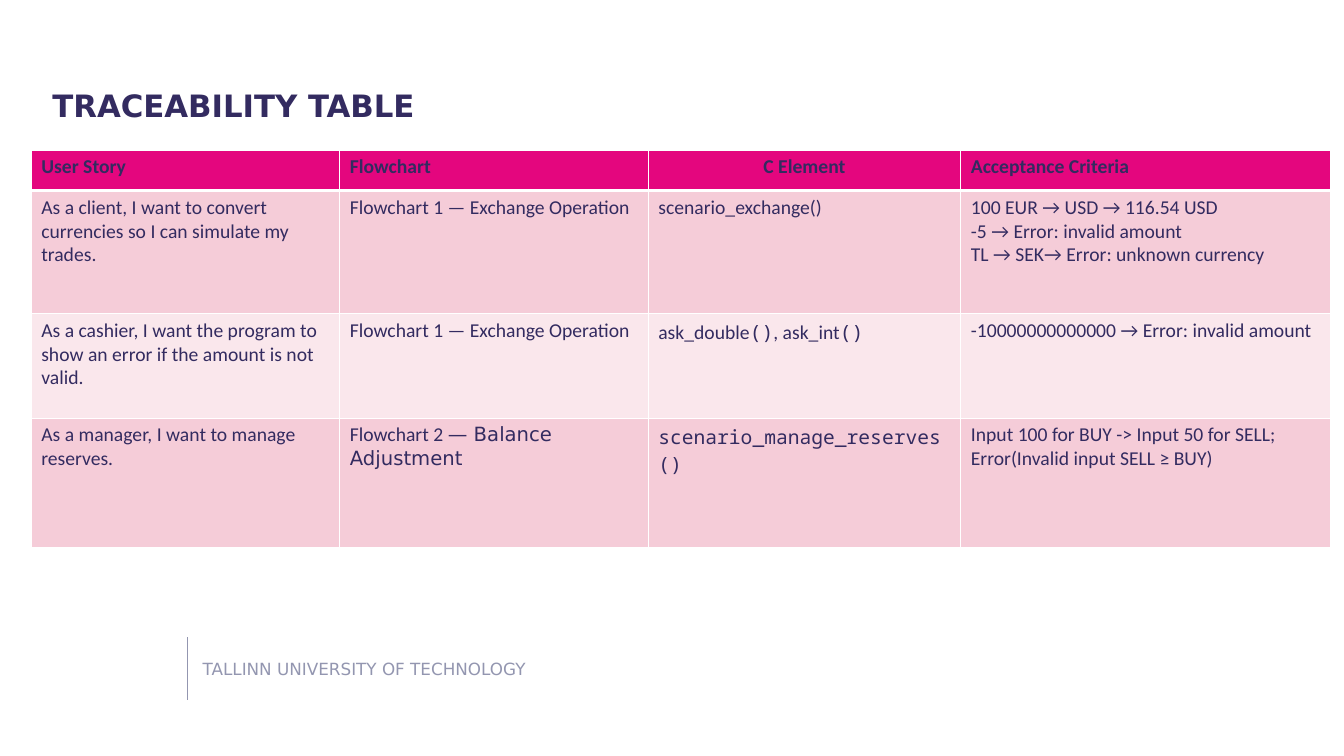
"""Build the traceability table slide."""
from lxml import etree
from pptx import Presentation
from pptx.dml.color import RGBColor
from pptx.enum.shapes import MSO_CONNECTOR
from pptx.enum.text import MSO_ANCHOR, PP_ALIGN
from pptx.oxml.ns import qn
from pptx.util import Inches, Pt

STRAIGHT = MSO_CONNECTOR.STRAIGHT
TOP, MIDDLE = MSO_ANCHOR.TOP, MSO_ANCHOR.MIDDLE
LEFT, CENTER = PP_ALIGN.LEFT, PP_ALIGN.CENTER

SANS, BODY, MONO = "DejaVu Sans", "Calibri", "Noto Sans Mono"
NAVY, GREY, WHITE = "332B60", "9396B0", "FFFFFF"
PINK, BANDS = "E4067E", ("F5CCD8", "FAE7EC")

COLS = (3.06, 3.06, 3.1, 3.67)
ROWS = (0.4, 1.22, 1.04, 1.28)
CELLS = (
    ("User Story", "Flowchart", "C Element", "Acceptance Criteria"),
    ("As a client, I want to convert currencies so I can simulate my trades.",
     "Flowchart 1 — Exchange Operation",
     "scenario_exchange()",
     "100 EUR → USD → 116.54 USD\n-5 → Error: invalid amount\n"
     "TL → SEK→ Error: unknown currency"),
    ("As a cashier, I want the program to show an error if the amount is not valid.",
     "Flowchart 1 — Exchange Operation",
     (("ask_double", BODY), ("()", MONO), (", ask_int", BODY), ("()", MONO)),
     "-10000000000000 → Error: invalid amount"),
    ("As a manager, I want to manage reserves.",
     (("Flowchart 2 ", BODY), ("— Balance Adjustment", SANS)),
     (("scenario_manage_reserves()", MONO),),
     "Input 100 for BUY -> Input 50 for SELL; Error(Invalid input SELL ≥ BUY)"),
)


def rgb(color):
    """Turn a hex string into a colour."""
    return RGBColor.from_string(color)


def write(tf, text, font=BODY, size=14, color=NAVY, bold=False, align=LEFT):
    """Fill a text frame with a string or with (text, font) runs."""
    p = tf.paragraphs[0]
    p.alignment = align
    runs = ((text, font),) if isinstance(text, str) else text
    for content, name in runs:
        for i, line in enumerate(content.split("\n")):
            if i:
                p.add_line_break()
            r = p.add_run()
            r.text = line
            r.font.name = name
            r.font.size = Pt(size)
            r.font.bold = bold
            r.font.color.rgb = rgb(color)


class Deck:
    """Hold the presentation, its style and the current slide."""

    def __init__(self, width, height):
        """Start a presentation with one blank slide."""
        self.prs = Presentation()
        self.prs.slide_width = Inches(width)
        self.prs.slide_height = Inches(height)
        self.s = self.prs.slides.add_slide(self.prs.slide_layouts[6])
        self.s.background.fill.solid()
        self.s.background.fill.fore_color.rgb = rgb(WHITE)

    def text(self, x, y, w, h, text, anchor=TOP, **fmt):
        """Add a text box without margins."""
        sp = self.s.shapes.add_textbox(Inches(x), Inches(y), Inches(w), Inches(h))
        tf = sp.text_frame
        tf.word_wrap = True
        tf.vertical_anchor = anchor
        tf.margin_left = tf.margin_top = tf.margin_right = tf.margin_bottom = 0
        write(tf, text, **fmt)

    def line(self, x1, y1, x2, y2, color, width):
        """Add a straight line."""
        sp = self.s.shapes.add_connector(
            STRAIGHT, Inches(x1), Inches(y1), Inches(x2), Inches(y2))
        sp.line.color.rgb = rgb(color)
        sp.line.width = Pt(width)
        etree.SubElement(sp._element.spPr, qn("a:effectLst"))

    def border(self, cell, side, width):
        """Draw one white cell border."""
        ln = etree.SubElement(cell._tc.get_or_add_tcPr(), qn(f"a:ln{side}"),
                              w=str(Pt(width)))
        fill = etree.SubElement(ln, qn("a:solidFill"))
        etree.SubElement(fill, qn("a:srgbClr"), val=WHITE)

    def table(self, x, y, cols, rows, cells):
        """Add a table with a header row and banded body rows."""
        table = self.s.shapes.add_table(
            len(rows), len(cols), Inches(x), Inches(y),
            Inches(sum(cols)), Inches(sum(rows))).table
        for column, width in zip(table.columns, cols):
            column.width = Inches(width)
        for i, (row, height) in enumerate(zip(table.rows, rows)):
            row.height = Inches(height)
            header = i == 0
            widths = {"L": 1, "R": 1, "T": 3 if i == 1 else 1, "B": 3 if header else 1}
            for j, cell in enumerate(row.cells):
                for side, width in widths.items():
                    self.border(cell, side, width)
                cell.fill.solid()
                cell.fill.fore_color.rgb = rgb(PINK if header else BANDS[(i - 1) % 2])
                write(cell.text_frame, cells[i][j], bold=header,
                      align=CENTER if header and j == 2 else LEFT)


def main():
    """Draw the slide and save it."""
    deck = Deck(13.33, 7.5)
    deck.text(2.01, 6.53, 3.42, 0.19, "TALLINN UNIVERSITY OF TECHNOLOGY",
              font=SANS, size=12, color=GREY)
    deck.line(1.86, 6.32, 1.86, 6.94, GREY, 0.5)
    deck.text(0.52, 0.6, 11.48, 0.89, "TRACEABILITY TABLE", anchor=MIDDLE,
              font=SANS, size=22, bold=True)
    deck.table(0.31, 1.49, COLS, ROWS, CELLS)
    deck.prs.save("out.pptx")


if __name__ == "__main__":
    main()
